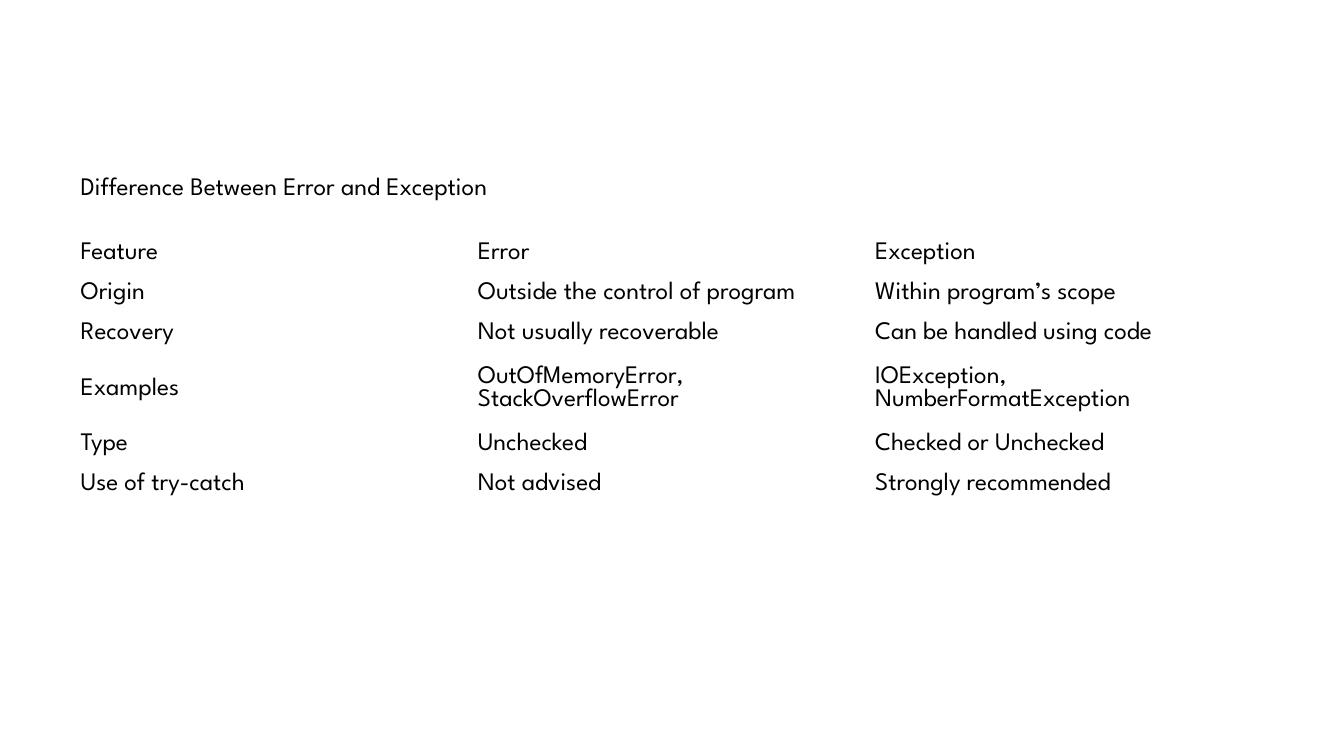
"""Build a slide that compares errors and exceptions in a plain table."""
from collections import namedtuple

from pptx import Presentation
from pptx.dml.color import RGBColor
from pptx.enum.text import MSO_ANCHOR, MSO_AUTO_SIZE, PP_ALIGN
from pptx.util import Inches, Pt

Theme = namedtuple("Theme", "font size ink paper")
THEME = Theme("League Spartan", Pt(18), RGBColor(0, 0, 0), RGBColor(255, 255, 255))


def write(frame, text, *, size=THEME.size, color=THEME.ink, align=PP_ALIGN.LEFT):
    """Put formatted text into a text frame."""
    paragraph = frame.paragraphs[0]
    paragraph.alignment = align
    run = paragraph.add_run()
    run.text = text
    run.font.name = THEME.font
    run.font.size = size
    run.font.bold = False
    run.font.color.rgb = color


presentation = Presentation()
presentation.slide_width = Inches(13.33)
presentation.slide_height = Inches(7.5)
slide = presentation.slides.add_slide(presentation.slide_layouts[5])
slide.background.fill.solid()
slide.background.fill.fore_color.rgb = THEME.paper

heading = slide.shapes.title
heading.left, heading.top = Inches(0.7), Inches(1.59)
heading.width, heading.height = Inches(5.09), Inches(0.4)
heading_frame = heading.text_frame
heading_frame.auto_size = MSO_AUTO_SIZE.NONE
heading_frame.word_wrap = True
heading_frame.vertical_anchor = MSO_ANCHOR.MIDDLE
heading_frame.margin_top = Inches(0.12)
heading_frame.margin_bottom = Inches(0.02)
write(heading_frame, "Difference Between Error and Exception")

comparison = [
    ("Feature", "Error", "Exception"),
    ("Origin", "Outside the control of program", "Within program’s scope"),
    ("Recovery", "Not usually recoverable", "Can be handled using code"),
    ("Examples", "OutOfMemoryError, StackOverflowError",
     "IOException, NumberFormatException"),
    ("Type", "Unchecked", "Checked or Unchecked"),
    ("Use of try-catch", "Not advised", "Strongly recommended"),
]
differences = slide.shapes.add_table(
    len(comparison), len(comparison[0]),
    Inches(0.7), Inches(2.31), Inches(11.83), Inches(2.7),
).table
differences.first_row = False
differences.horz_banding = False

for column in differences.columns:
    column.width = Inches(3.94)

for row, features in zip(differences.rows, comparison):
    row.height = Inches(0.7 if features[0] == "Examples" else 0.4)
    for cell, feature in zip(row.cells, features):
        cell.fill.background()
        cell.vertical_anchor = MSO_ANCHOR.MIDDLE
        write(cell.text_frame, feature)

presentation.save("out.pptx")
